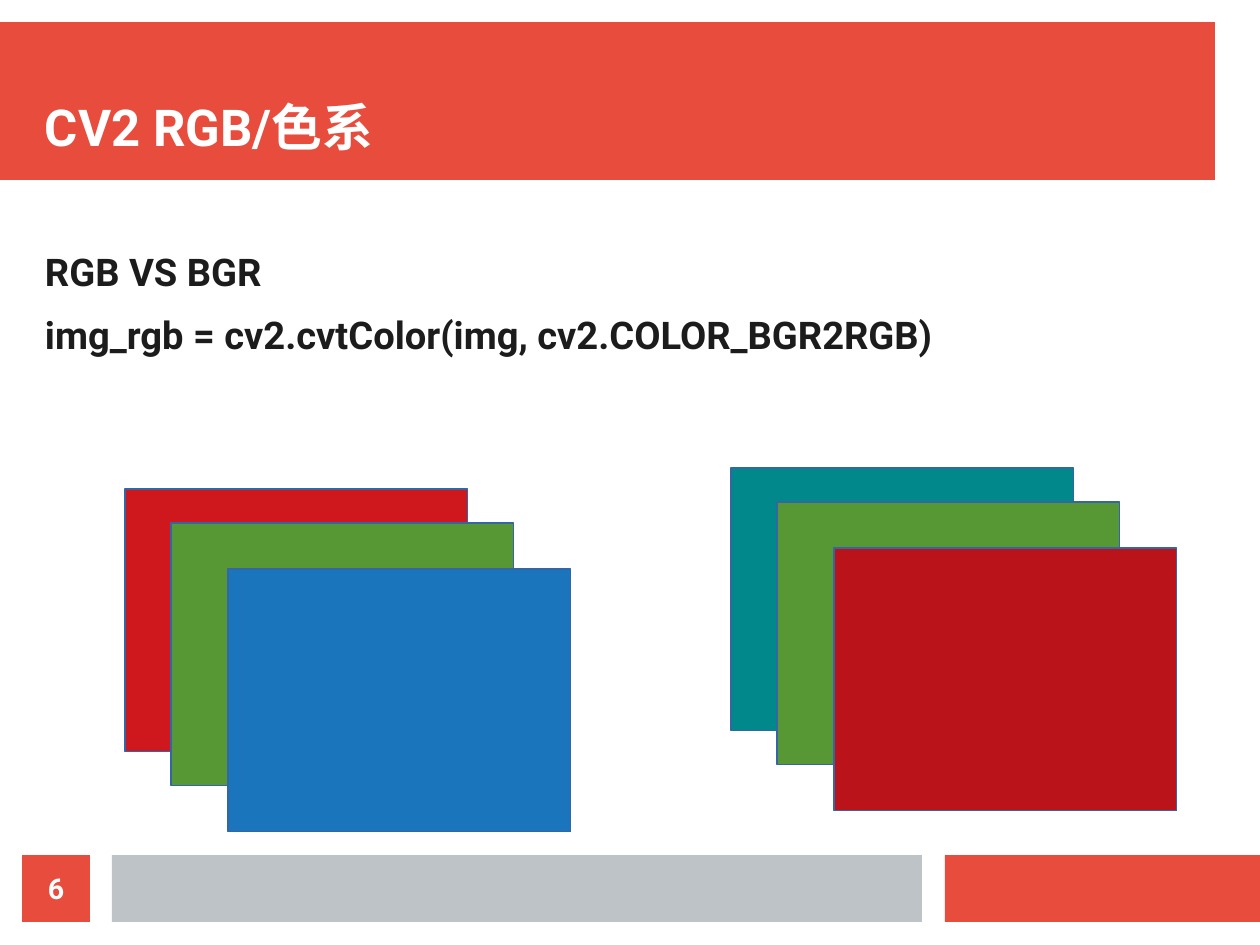
"""Build the slide that compares the RGB and BGR channel orders."""
from pptx import Presentation
from pptx.dml.color import RGBColor as Rgb
from pptx.enum.shapes import MSO_SHAPE as Kind
from pptx.enum.text import MSO_ANCHOR as Anchor, MSO_AUTO_SIZE as Fit, PP_ALIGN as Align
from pptx.oxml.ns import qn
from pptx.util import Pt
from lxml.etree import SubElement as Sub

PX = 8000
THEME = {
    "font": "Roboto", "title": 32, "body": 24, "page": 18,
    "accent": "E74C3C", "grey": "BDC3C7", "white": "FFFFFF", "ink": "1C1C1C",
    "edge": "3465A4", "red": "CE181E", "green": "579835", "blue": "1B75BC",
    "teal": "00888A", "dark": "BA131A",
}


def add_rect(x, y, w, h, fill, edge=None):
    rect = slide.shapes.add_shape(Kind.RECTANGLE, x * PX, y * PX, w * PX, h * PX)
    rect.shadow.inherit = False
    rect.fill.solid()
    rect.fill.fore_color.rgb = Rgb.from_string(THEME[fill])
    if edge:
        rect.line.color.rgb = Rgb.from_string(THEME[edge])
        rect.line.width = 0
    else:
        rect.line.fill.background()
    return rect


def set_text(shape, text, size, color, anchor, align, after=0):
    frame = shape.text_frame
    frame.text = text
    frame.word_wrap = True
    frame.auto_size = Fit.NONE
    frame.vertical_anchor = anchor
    frame.margin_left = frame.margin_top = frame.margin_right = frame.margin_bottom = 0
    for para in frame.paragraphs:
        props = para._p.get_or_add_pPr()
        props.set("marL", "0")
        props.set("indent", "0")
        Sub(props, qn("a:buNone"))
        para.alignment = align
        para.space_before = Pt(0)
        para.space_after = Pt(after)
        for run in para.runs:
            font = run.font
            font.name, font.size, font.bold = THEME["font"], Pt(THEME[size]), True
            font.color.rgb = Rgb.from_string(THEME[color])


deck = Presentation()
deck.slide_width, deck.slide_height = 1260 * PX, 945 * PX
slide = deck.slides.add_slide(deck.slide_layouts[1])
title, body = slide.placeholders

add_rect(0, 22, 1215, 158, "accent")
add_rect(945, 855, 315, 67, "accent")
add_rect(112, 855, 810, 67, "grey")
page = add_rect(22, 855, 68, 67, "accent")
set_text(page, "6", "page", "white", Anchor.MIDDLE, Align.CENTER)

for holder, box in ((title, (45, 45, 1170, 112)), (body, (45, 248, 1148, 585))):
    holder.left, holder.top, holder.width, holder.height = (n * PX for n in box)
    slide.shapes._spTree.append(holder._element)
set_text(title, "CV2 RGB/色系", "title", "white", Anchor.BOTTOM, Align.LEFT)
lines = "RGB VS BGR\nimg_rgb = cv2.cvtColor(img, cv2.COLOR_BGR2RGB)"
set_text(body, lines, "body", "ink", Anchor.TOP, Align.LEFT, 11.4)

STEPS = ((0, 0), (46, 34), (103, 80))
STACKS = (
    (125, 489, ("red", "green", "blue")),
    (731, 468, ("teal", "green", "dark")),
)
for left, top, fills in STACKS:
    for (dx, dy), fill in zip(STEPS, fills):
        add_rect(left + dx, top + dy, 343, 263, fill, "edge")

deck.save("out.pptx")
